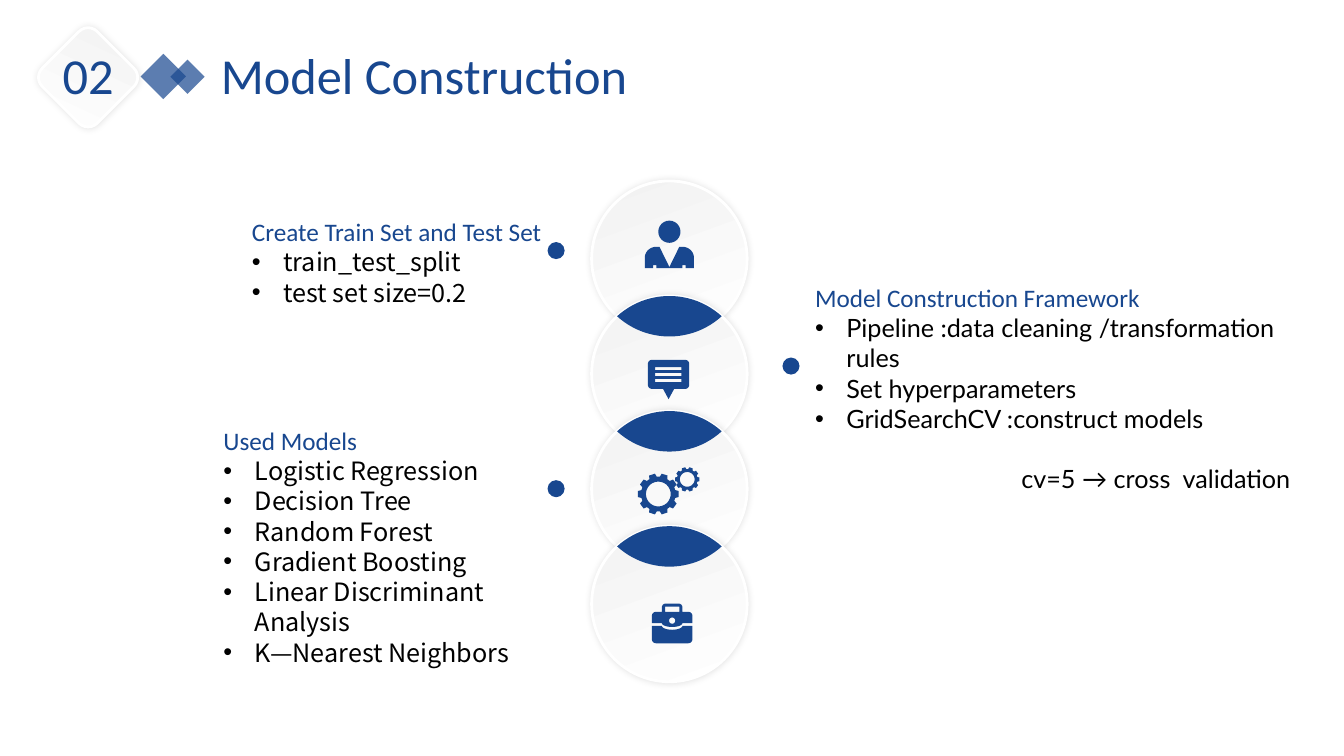
from math import acos, cos, degrees, radians, sin

from lxml import etree
from pptx import Presentation
from pptx.dml.color import RGBColor
from pptx.enum.shapes import MSO_SHAPE
from pptx.enum.text import MSO_ANCHOR, MSO_AUTO_SIZE, PP_ALIGN
from pptx.oxml.ns import qn
from pptx.util import Cm, Pt

OVAL = MSO_SHAPE.OVAL
RECTANGLE = MSO_SHAPE.RECTANGLE
ROUNDED = MSO_SHAPE.ROUNDED_RECTANGLE
LEFT = PP_ALIGN.LEFT
CENTER = PP_ALIGN.CENTER

BLUE = "18478F"
BLACK = "000000"
WHITE = "FFFFFF"
PALE = "F2F2F2"
HEADING_FONT = "Calibri"
CJK_FONT = "Noto Sans CJK SC"
LATIN_FONT = "Lato"


def colour(value):
    return RGBColor.from_string(value)


def arc(x, y, rx, ry, start, end, steps=12):
    angles = [radians(start + (end - start) * i / steps) for i in range(steps + 1)]
    return [(x + rx * cos(a), y + ry * sin(a)) for a in angles]


def box(left, top, right, bottom):
    return [(left, top), (right, top), (right, bottom), (left, bottom)]


def mirrored(center_x, right_half):
    right = [(center_x + x, y) for x, y in right_half]
    left = [(center_x - x, y) for x, y in reversed(right_half)]
    return right + left


def gear(x, y, radius, teeth=10):
    rim = []
    for tooth in range(teeth):
        for offset, reach in ((-13, 0.84), (-8.5, 1), (8.5, 1), (13, 0.84)):
            angle = radians(360 * tooth / teeth + offset)
            rim.append((x + radius * reach * cos(angle), y + radius * reach * sin(angle)))
    return [rim, arc(x, y, 0.6 * radius, 0.6 * radius, 0, 360, 36)]


class SlideBuilder:
    def __init__(self, slide):
        self.slide = slide
        self.shapes = slide.shapes

    def shape(self, kind, left, top, size, fill=BLUE, rotation=0, alpha=None):
        shape = self.shapes.add_shape(kind, Cm(left), Cm(top), Cm(size), Cm(size))
        shape.rotation = rotation
        shape.shadow.inherit = False
        shape.line.fill.background()
        shape.fill.solid()
        shape.fill.fore_color.rgb = colour(fill)
        if alpha:
            tint = shape.fill._xPr.find(".//" + qn("a:srgbClr"))
            etree.SubElement(tint, qn("a:alpha"), val=str(alpha * 1000))
        return shape

    def raised(self, kind, left, top, size, rotation=0):
        shape = self.shape(kind, left, top, size, rotation=rotation)
        shape.fill.gradient()
        shape.fill.gradient_angle = 110
        for stop, shade in zip(shape.fill.gradient_stops, (WHITE, PALE)):
            stop.color.rgb = colour(shade)
        shape.line.color.rgb = colour(WHITE)
        shape.line.width = Pt(2)
        effects = shape._element.spPr.find(qn("a:effectLst"))
        shadow = etree.SubElement(effects, qn("a:outerShdw"), blurRad=str(Pt(5)),
                                  dist="0", dir="0", algn="ctr", rotWithShape="0")
        black = etree.SubElement(shadow, qn("a:srgbClr"), val=BLACK)
        etree.SubElement(black, qn("a:alpha"), val="11000")
        return shape

    def outline(self, *contours):
        builder = None
        for contour in contours:
            points = [(Cm(x), Cm(y)) for x, y in contour]
            if builder is None:
                builder = self.shapes.build_freeform(*points[0])
            else:
                builder.move_to(*points[0])
            builder.add_line_segments(points[1:], close=True)
        shape = builder.convert_to_shape()
        shape.shadow.inherit = False
        shape.fill.solid()
        shape.fill.fore_color.rgb = colour(BLUE)
        shape.line.fill.background()

    def run(self, paragraph, text, size, font, ink):
        run = paragraph.add_run()
        run.text = text
        run.font.size = Pt(size)
        run.font.name = font
        run.font.color.rgb = colour(ink)

    def title(self, text, left, top, width, height):
        title = self.shapes.title
        title.left, title.top, title.width, title.height = map(Cm, (left, top, width, height))
        frame = title.text_frame
        frame.auto_size = MSO_AUTO_SIZE.NONE
        frame.vertical_anchor = MSO_ANCHOR.TOP
        frame.paragraphs[0].alignment = LEFT
        self.run(frame.paragraphs[0], text, 36, HEADING_FONT, BLUE)

    def text(self, left, top, width, height, wrap=True):
        frame = self.shapes.add_textbox(Cm(left), Cm(top), Cm(width), Cm(height)).text_frame
        frame.word_wrap = wrap
        return frame

    def topic(self, heading, items, font, left, top, width, height):
        frame = self.text(left, top, width, height)
        self.run(frame.paragraphs[0], heading, 18, HEADING_FONT, BLUE)
        for item in items:
            paragraph = frame.add_paragraph()
            paragraph.line_spacing = Pt(21.6)
            self.run(paragraph, item, 18, font, BLACK)
            properties = paragraph._p.get_or_add_pPr()
            properties.set("marL", str(Cm(0.79)))
            properties.set("indent", str(-Cm(0.79)))
            etree.SubElement(properties, qn("a:buFont"), typeface="Arial")
            etree.SubElement(properties, qn("a:buChar"), char="•")
        return frame


def draw_header(page):
    page.title("Model Construction", 5.31, 0.99, 11.63, 1.8)
    page.shape(RECTANGLE, 3.71, 1.52, 0.81, rotation=225, alpha=70)
    page.shape(RECTANGLE, 4.42, 1.63, 0.61, rotation=225, alpha=70)
    page.raised(ROUNDED, 1.24, 0.97, 1.96, rotation=45)
    number = page.text(1.32, 0.99, 1.8, 1.8, wrap=False).paragraphs[0]
    number.alignment = CENTER
    page.run(number, "02", 36, HEADING_FONT, BLUE)


def draw_chain(page):
    middle, first, pitch, radius = 16.87, 6.52, 2.9, 1.96
    centers = [first + pitch * i for i in range(4)]
    for center in centers:
        page.raised(OVAL, middle - radius, center - radius, 2 * radius)
    half = degrees(acos(pitch / 2 / radius))
    for upper, lower in zip(centers, centers[1:]):
        page.outline(arc(middle, upper, radius, radius, 90 - half, 90 + half, 24)
                     + arc(middle, lower, radius, radius, 270 - half, 270 + half, 24))


def draw_icons(page):
    page.shape(OVAL, 16.59, 5.56, 0.56)
    page.outline(mirrored(16.87, [
        (0, 6.73), (0.25, 6.22), *arc(0.33, 6.5, 0.29, 0.28, 270, 360),
        (0.62, 6.76), (0.41, 6.76), (0.41, 6.68), (0.33, 6.68), (0.33, 6.76)]))

    bubble = mirrored(16.85, [*arc(0.42, 9.17, 0.1, 0.1, 270, 360),
                              *arc(0.42, 9.7, 0.1, 0.1, 0, 90), (0.14, 9.8), (0, 10.06)])
    lines = [box(16.51, 9.25 + 0.15 * i, 17.17, 9.33 + 0.15 * i) for i in range(3)]
    page.outline(bubble, *lines)

    page.outline(*gear(16.59, 12.45, 0.52))
    page.outline(*gear(17.32, 12.08, 0.31))

    lid = mirrored(16.94, [
        *arc(0.16, 15.31, 0.1, 0.1, 270, 360), (0.26, 15.42),
        *arc(0.41, 15.52, 0.1, 0.1, 270, 360), (0.51, 15.7),
        *arc(0, 15.7, 0.26, 0.1, 0, 90)])
    page.outline(lid, box(16.76, 15.29, 17.12, 15.42), arc(16.94, 15.64, 0.08, 0.08, 0, 360))
    page.outline(mirrored(16.94, [
        *arc(0, 15.77, 0.26, 0.1, 90, 0), (0.51, 15.77),
        *arc(0.41, 16.11, 0.1, 0.1, 0, 90)]))


def draw_topics(page):
    page.topic("Create Train Set and Test Set", ["train_test_split", "test set size=0.2"],
               CJK_FONT, 6.1, 5.33, 11, 3.33)
    framework = page.topic(
        "Model Construction Framework",
        ["Pipeline :data cleaning /transformation rules", "Set hyperparameters",
         "GridSearchCV :construct models"],
        LATIN_FONT, 20.29, 6.99, 13.18, 4.88)
    validation = framework.add_paragraph()
    validation.space_before = Pt(21.6)
    validation._p.get_or_add_pPr().set("marL", str(Cm(5.2)))
    page.run(validation, "cv=5 → cross  validation", 18, LATIN_FONT, BLACK)
    page.topic("Used Models",
               ["Logistic Regression", "Decision Tree", "Random Forest", "Gradient Boosting",
                "Linear Discriminant Analysis", "K—Nearest Neighbors"],
               CJK_FONT, 5.38, 10.59, 8.86, 8.46)
    for left, top in ((13.8, 6.1), (19.72, 9.01), (13.8, 12.1)):
        page.shape(OVAL, left, top, 0.43)


def main():
    deck = Presentation()
    deck.slide_width, deck.slide_height = Cm(33.87), Cm(19.05)
    page = SlideBuilder(deck.slides.add_slide(deck.slide_layouts[5]))
    draw_header(page)
    draw_chain(page)
    draw_icons(page)
    draw_topics(page)
    deck.save("out.pptx")


if __name__ == "__main__":
    main()
